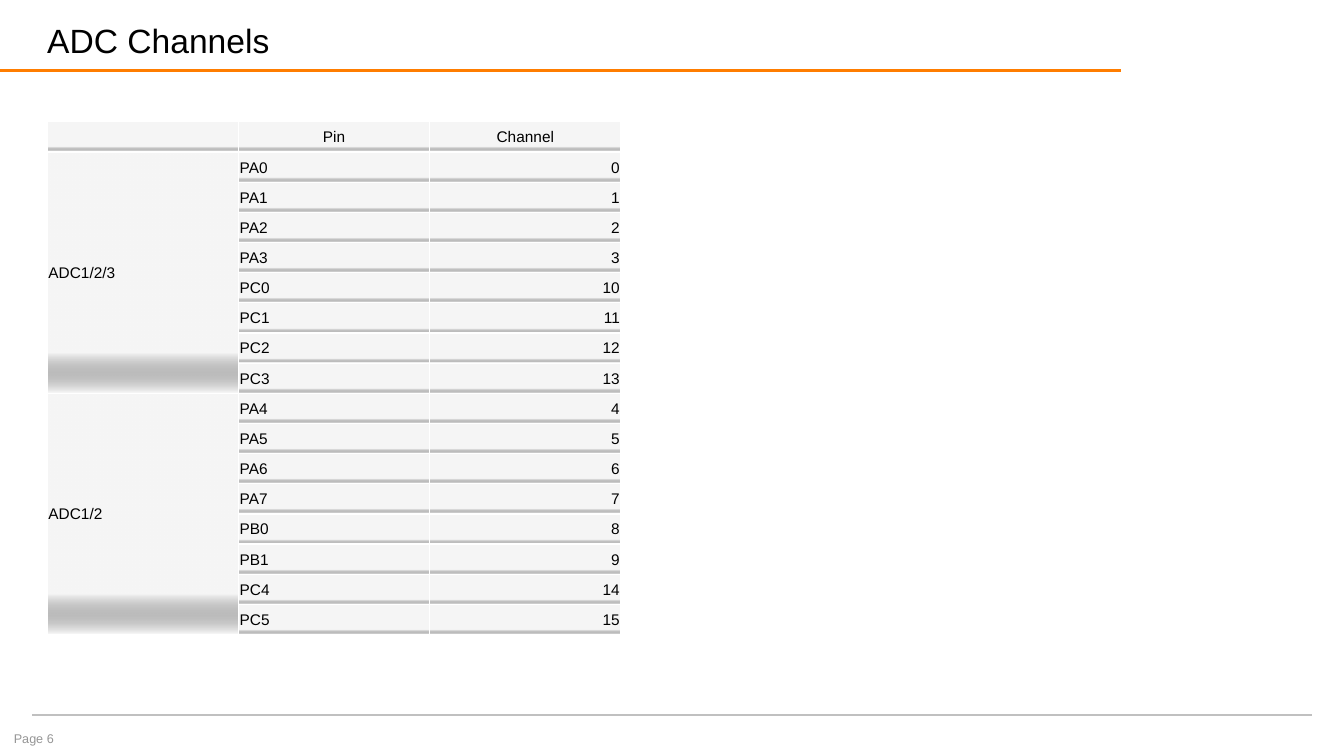
import pptx
import pptx.dml.color
import pptx.enum.shapes
import pptx.enum.text
import pptx.oxml
import pptx.oxml.ns
import pptx.util
from lxml import etree

Cm = pptx.util.Cm
Pt = pptx.util.Pt
RGBColor = pptx.dml.color.RGBColor
Align = pptx.enum.text.PP_ALIGN
Anchor = pptx.enum.text.MSO_ANCHOR

BLACK = RGBColor(0x00, 0x00, 0x00)
WHITE = RGBColor(0xFF, 0xFF, 0xFF)
ORANGE = RGBColor(0xFF, 0x7D, 0x00)
SILVER = RGBColor(0xC0, 0xC0, 0xC0)
GRAY = RGBColor(0x96, 0x96, 0x96)
CELL_GRAY = RGBColor(0xF6, 0xF6, 0xF6)
CELL_EDGE = RGBColor(0xF9, 0xF9, 0xF9)

FONT = "Arial"
CELL_STOPS = [(74, CELL_GRAY, 100), (83, CELL_GRAY, 100), (100, BLACK, 0), (100, CELL_EDGE, 100)]
HEADINGS = ["", "Pin", "Channel"]
CONVERTERS = {
    "ADC1/2/3": [("PA0", 0), ("PA1", 1), ("PA2", 2), ("PA3", 3),
                 ("PC0", 10), ("PC1", 11), ("PC2", 12), ("PC3", 13)],
    "ADC1/2": [("PA4", 4), ("PA5", 5), ("PA6", 6), ("PA7", 7),
               ("PB0", 8), ("PB1", 9), ("PC4", 14), ("PC5", 15)],
}
COLUMN_WIDTH = Cm(4.82)
ROW_HEIGHT = Cm(0.76)


def write_text(frame, text, size=11, color=BLACK, align=Align.LEFT):
    para = frame.paragraphs[0]
    para.alignment = align
    span = para.add_run()
    span.text = text
    span.font.name = FONT
    span.font.size = Pt(size)
    span.font.color.rgb = color


def add_rule(page, left, right, y, color, width):
    rule = page.shapes.add_connector(
        pptx.enum.shapes.MSO_CONNECTOR.STRAIGHT, left, y, right, y)
    rule.line.color.rgb = color
    rule.line.width = Pt(width)
    etree.SubElement(rule._element.spPr, pptx.oxml.ns.qn("a:effectLst"))


def add_title(page, text):
    title = page.shapes.title
    title.left, title.top, title.width, title.height = Cm(1.19), Cm(0.33), Cm(27.05), Cm(1.19)
    frame = title.text_frame
    frame.margin_left = frame.margin_right = frame.margin_top = frame.margin_bottom = 0
    frame.vertical_anchor = Anchor.BOTTOM
    write_text(frame, text, size=24)


def add_page_number(page, text):
    box = page.shapes.add_textbox(Cm(0.1), Cm(18.29), Cm(4.06), Cm(0.76))
    box.text_frame.word_wrap = True
    write_text(box.text_frame, text, size=9, color=GRAY)


def style_cell(cell):
    cell.margin_left = cell.margin_right = cell.margin_top = Cm(0.03)
    cell.margin_bottom = 0
    cell.vertical_anchor = Anchor.MIDDLE
    namespace = pptx.oxml.ns.nsdecls("a")
    properties = cell._tc.get_or_add_tcPr()
    for side in "LRTB":
        properties.append(pptx.oxml.parse_xml(
            f'<a:ln{side} {namespace} w="{Pt(1)}"><a:solidFill>'
            f'<a:srgbClr val="{WHITE}"/></a:solidFill></a:ln{side}>'))
    stops = "".join(
        f'<a:gs pos="{place * 1000}"><a:srgbClr val="{color}">'
        f'<a:alpha val="{opacity * 1000}"/></a:srgbClr></a:gs>'
        for place, color, opacity in CELL_STOPS)
    properties.append(pptx.oxml.parse_xml(
        f'<a:gradFill {namespace}><a:gsLst>{stops}</a:gsLst>'
        '<a:lin ang="5400000" scaled="0"/></a:gradFill>'))


def add_channel_table(page):
    rows = [HEADINGS]
    for converter, pins in CONVERTERS.items():
        for index, (pin, channel) in enumerate(pins):
            rows.append([converter if index == 0 else "", pin, str(channel)])
    table = page.shapes.add_table(
        len(rows), len(HEADINGS), Cm(1.19), Cm(3.07),
        COLUMN_WIDTH * len(HEADINGS), ROW_HEIGHT * len(rows)).table
    table.first_row = table.horz_banding = False
    for column in table.columns:
        column.width = COLUMN_WIDTH
    for row_index, row in enumerate(rows):
        table.rows[row_index].height = ROW_HEIGHT
        aligns = [Align.LEFT, Align.LEFT, Align.RIGHT] if row_index else [Align.CENTER] * 3
        for column_index, (text, align) in enumerate(zip(row, aligns)):
            cell = table.cell(row_index, column_index)
            style_cell(cell)
            write_text(cell.text_frame, text, align=align)
    first = 1
    for pins in CONVERTERS.values():
        last = first + len(pins) - 1
        table.cell(first, 0).merge(table.cell(last, 0))
        first = last + 1


def main():
    deck = pptx.Presentation()
    deck.slide_width, deck.slide_height = Cm(33.87), Cm(19.05)
    page = deck.slides.add_slide(deck.slide_layouts[5])
    add_rule(page, Cm(-0.05), Cm(28.24), Cm(1.78), ORANGE, 2.25)
    add_rule(page, Cm(0.81), Cm(33.07), Cm(18.01), SILVER, 1.5)
    add_title(page, "ADC Channels")
    add_channel_table(page)
    add_page_number(page, "Page 6")
    deck.save("out.pptx")


main()
